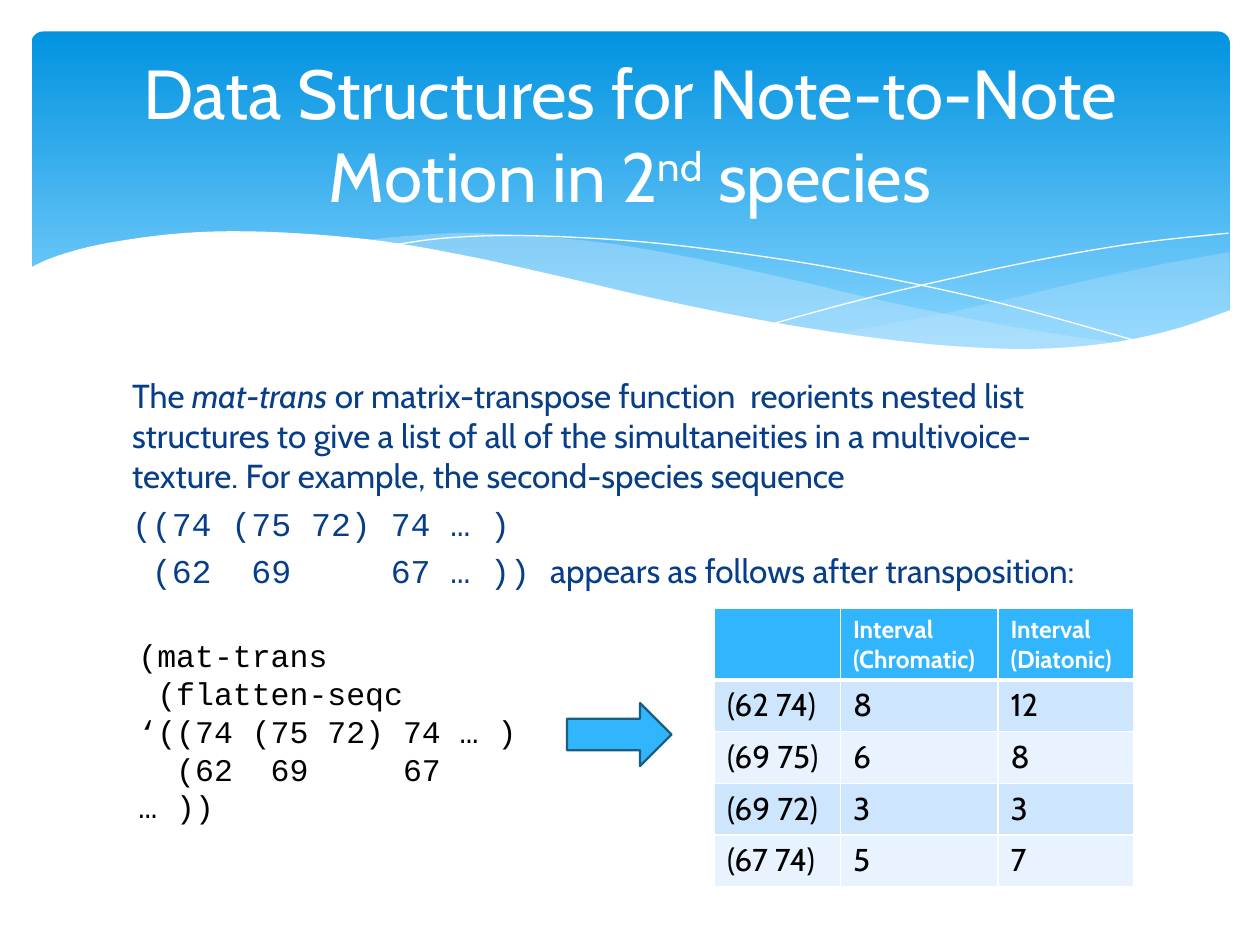
from lxml import etree
from pptx import Presentation
from pptx.dml.color import RGBColor
from pptx.enum.shapes import MSO_SHAPE
from pptx.enum.text import MSO_ANCHOR, MSO_AUTO_SIZE, PP_ALIGN
from pptx.oxml.ns import qn
from pptx.util import Inches, Pt

ROUND_RECT, ARROW = MSO_SHAPE.ROUNDED_RECTANGLE, MSO_SHAPE.RIGHT_ARROW
MIDDLE, NO_FIT, CENTER = MSO_ANCHOR.MIDDLE, MSO_AUTO_SIZE.NONE, PP_ALIGN.CENTER
TITLE_ONLY = 5

SANS, MONO = "Cabin", "Courier New"
WHITE, BLACK, NAVY, SKY, MIST = "FFFFFF", "000000", "073E87", "31B6FD", "C6E7FC"
BANDS = ("CEE5FE", "E8F3FF")

# Wave outlines in grid units: each is a list of smooth curves, joined in order.
RIGHT_WAVE = [
    [(39.04, 8), (36.84, 8.4), (34.44, 8.92), (30.12, 9.92), (26.44, 10.6)],
    [(26.44, 10.6), (29.28, 10.96), (32.12, 11.12), (34.88, 10.96),
     (37.12, 10.52), (39.04, 9.88)],
]
MIDDLE_WAVE = [
    [(35.72, 10.92), (32.28, 10.4), (28.24, 9.6), (25.16, 8.88), (21.64, 8.12),
     (18.6, 7.64), (15.2, 7.4), (13.12, 7.48), (11.44, 7.64)],
    [(11.44, 7.64), (14.48, 8.12), (17.96, 8.88), (22.64, 9.92), (26, 10.56),
     (28.88, 10.96), (32.28, 11.12), (35.72, 10.92)],
]
FALLING_LINE = [[(12.36, 7.8), (14.12, 7.56), (16.64, 7.48), (20.4, 7.68),
                 (24.32, 8.16), (27.8, 8.76), (31.8, 9.64), (36.28, 10.88)]]
RISING_LINE = [[(24.52, 10.28), (27.8, 9.4), (32.24, 8.4), (35.8, 7.76), (39, 7.4)]]
WHITE_WAVE = [
    [(39.08, 9.84), (37.2, 10.48), (35, 10.92), (32.36, 11.08), (29.04, 10.88),
     (25.04, 10.32), (21.16, 9.56), (17.88, 8.8), (14.6, 8.08), (11.68, 7.6),
     (8.44, 7.36), (5.84, 7.4), (3.4, 7.72), (1.84, 8.12), (0.92, 8.52)],
    [(0.92, 13.16), (39.08, 13.16)],
]

INTERVALS = [
    ("", "Interval (Chromatic)", "Interval (Diatonic)"),
    ("(62 74)", "8", "12"),
    ("(69 75)", "6", "8"),
    ("(69 72)", "3", "3"),
    ("(67 74)", "5", "7"),
]


def rgb(color):
    return RGBColor.from_string(color)


def grid(n):
    """Length of n units on a grid of 40 columns by 30 rows."""
    return Inches(n * 0.25)


def smooth(points, steps=6):
    """Catmull-Rom curve through the points."""
    padded = [points[0], *points, points[-1]]
    curve = [points[0]]
    for a, b, c, d in zip(padded, padded[1:], padded[2:], padded[3:]):
        for t in (i / steps for i in range(1, steps + 1)):
            curve.append(tuple(
                (2 * q + (r - p) * t + (2 * p - 5 * q + 4 * r - u) * t ** 2
                 + (3 * q - p - 3 * r + u) * t ** 3) / 2
                for p, q, r, u in zip(a, b, c, d)))
    return curve


class SlideBuilder:
    def __init__(self, prs):
        self.slide = prs.slides.add_slide(prs.slide_layouts[TITLE_ONLY])
        self.shapes = self.slide.shapes

    def run(self, p, text, size, color, font=SANS, bold=False, italic=False):
        r = p.add_run()
        r.text = text
        r.font.name, r.font.size = font, Pt(size)
        r.font.bold, r.font.italic = bold, italic
        r.font.color.rgb = rgb(color)
        return r

    def paint(self, sp, fill=None, line=None, width=0, alpha=None):
        sp.shadow.inherit = False
        if fill:
            sp.fill.solid()
            sp.fill.fore_color.rgb = rgb(fill)
        else:
            sp.fill.background()
        if alpha:
            clr = sp.element.spPr.find(".//" + qn("a:srgbClr"))
            etree.SubElement(clr, qn("a:alpha"), val=str(alpha * 1000))
        if line:
            sp.line.color.rgb = rgb(line)
            sp.line.width = Pt(width)
        else:
            sp.line.fill.background()

    def shape(self, kind, box, **style):
        sp = self.shapes.add_shape(kind, *map(grid, box))
        self.paint(sp, **style)
        return sp

    def banner(self, box, top, bottom):
        sp = self.shape(ROUND_RECT, box)
        sp.adjustments[0] = 0.034
        sp.fill.gradient()
        sp.fill.gradient_angle = 270
        for stop, color, pos in zip(sp.fill.gradient_stops, (top, bottom), (0, 0.9)):
            stop.color.rgb = rgb(color)
            stop.position = pos

    def wave(self, curves, **style):
        points = [(grid(x), grid(y)) for c in curves for x, y in smooth(c)]
        fb = self.shapes.build_freeform(*points[0])
        fb.add_line_segments(points[1:], close="fill" in style)
        self.paint(fb.convert_to_shape(), **style)

    def title(self, box, runs, size):
        """Runs are (text, baseline in percent)."""
        sp = self.shapes.title
        sp.left, sp.top, sp.width, sp.height = map(grid, box)
        tf = sp.text_frame
        tf.auto_size, tf.vertical_anchor = NO_FIT, MIDDLE
        p = tf.paragraphs[0]
        p.alignment = CENTER
        for text, baseline in runs:
            r = self.run(p, text, size, WHITE)
            if baseline:
                r.font._element.set("baseline", str(baseline * 1000))
        sp.element.getparent().append(sp.element)  # in front of the banner

    def text(self, box, paragraphs, size, color, before=0):
        """Each paragraph is a list of (text, font, italic)."""
        tf = self.shapes.add_textbox(*map(grid, box)).text_frame
        tf.word_wrap = True
        for i, runs in enumerate(paragraphs):
            p = tf.add_paragraph() if i else tf.paragraphs[0]
            p.space_before = Pt(before)
            for text, font, italic in runs:
                self.run(p, text, size, color, font, italic=italic)

    def cell(self, cell, text, size, fill, color, bold, bottom):
        tcPr = cell._tc.get_or_add_tcPr()
        for side, width in (("L", 1), ("R", 1), ("T", 1), ("B", bottom)):
            ln = etree.SubElement(tcPr, qn("a:ln" + side), w=str(Pt(width)))
            solid = etree.SubElement(ln, qn("a:solidFill"))
            etree.SubElement(solid, qn("a:srgbClr"), val=WHITE)
        cell.fill.solid()
        cell.fill.fore_color.rgb = rgb(fill)
        if text:
            self.run(cell.text_frame.paragraphs[0], text, size, color, bold=bold)

    def table(self, left, top, rows, widths, heights):
        tbl = self.shapes.add_table(len(rows), len(widths), grid(left), grid(top),
                                    grid(sum(widths)), grid(sum(heights))).table
        for col, width in zip(tbl.columns, widths):
            col.width = grid(width)
        for i, (row, height) in enumerate(zip(rows, heights)):
            tbl.rows[i].height = grid(height)
            style = ((18, BANDS[(i - 1) % 2], BLACK, False, 1) if i
                     else (14, SKY, WHITE, True, 3))
            for j, text in enumerate(row):
                self.cell(tbl.cell(i, j), text, *style)


def main():
    prs = Presentation()
    prs.slide_width, prs.slide_height = grid(40), grid(30)
    s = SlideBuilder(prs)

    s.banner((1, 1, 38.04, 10.8), "0293E0", "83D3FE")
    s.wave(RIGHT_WAVE, fill=MIST, alpha=29)
    s.wave(MIDDLE_WAVE, fill=MIST, alpha=40)
    s.wave(FALLING_LINE, line=WHITE)
    s.wave(RISING_LINE, line=WHITE)
    s.wave(WHITE_WAVE, fill=WHITE)

    s.title((2, 1.48, 36, 5.48), [("Data Structures for Note-to-Note Motion in 2", 0),
                                  ("nd", 30), (" species", 0)], 39.6)
    s.text((3.8, 11.72, 32.4, 8), [
        [("The ", SANS, False), ("mat-trans", SANS, True),
         (" or matrix-transpose function  reorients nested list structures to give "
          "a list of all of the simultaneities in a multivoice-texture. For example, "
          "the second-species sequence", SANS, False)],
        [("((74 (75 72) 74 … )", MONO, False)],
        [(" (62  69     67 … )) ", MONO, False),
         ("appears as follows after transposition:", SANS, False)],
    ], 19, NAVY, before=4.5)

    s.table(22.68, 19.32, INTERVALS, (4, 5, 4.32), (2.2,) + (1.64,) * 4)
    code = ("(mat-trans", " (flatten-seqc", "‘((74 (75 72) 74 … )",
            "  (62  69     67 … ))")
    s.text((4, 20, 13, 6.48), [[(line, MONO, False)] for line in code], 18, BLACK)
    s.shape(ARROW, (18, 22.32, 3.32, 2), fill=SKY, line="195F84", width=1.25)

    prs.save("out.pptx")


if __name__ == "__main__":
    main()
